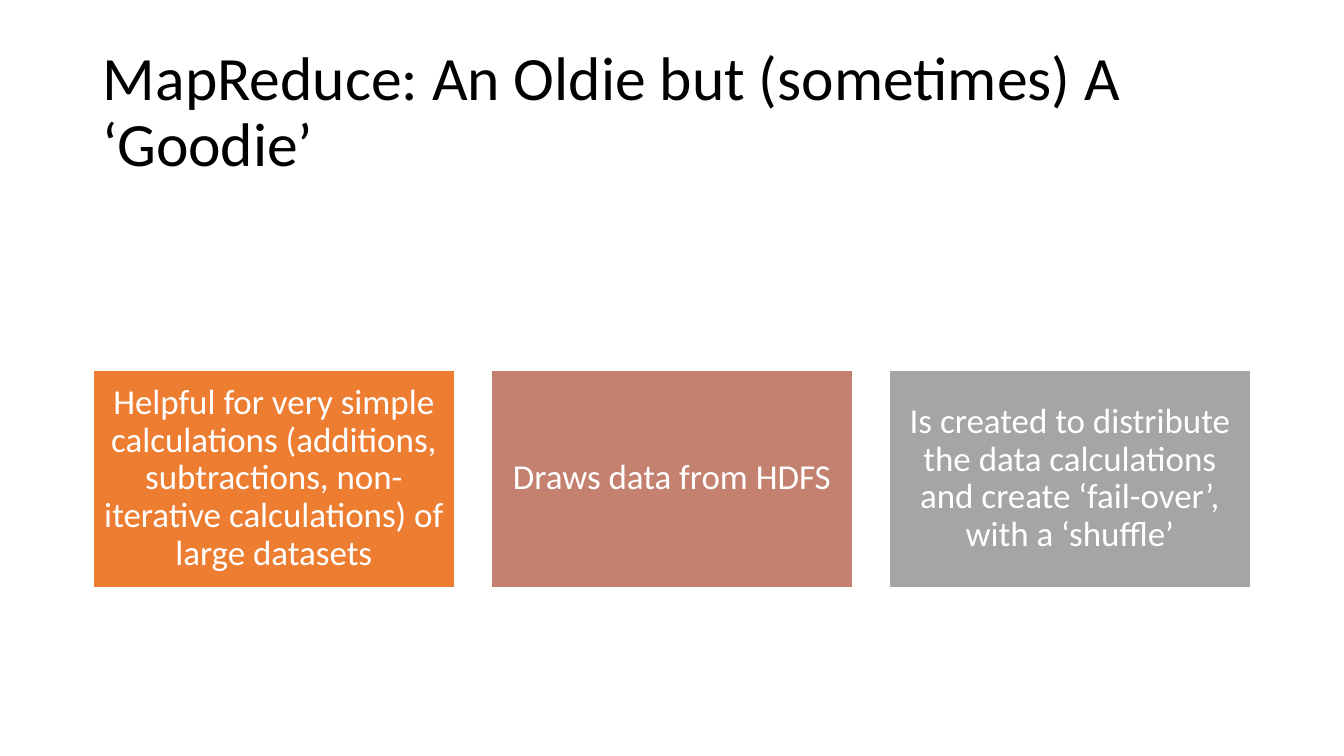
from pptx import Presentation
from pptx.dml.color import RGBColor
from pptx.enum.shapes import MSO_SHAPE
from pptx.enum.text import MSO_ANCHOR, MSO_AUTO_SIZE, PP_ALIGN
from pptx.util import Cm, Pt

RECTANGLE = MSO_SHAPE.RECTANGLE
MIDDLE = MSO_ANCHOR.MIDDLE
NO_AUTOFIT = MSO_AUTO_SIZE.NONE
LEFT, CENTER = PP_ALIGN.LEFT, PP_ALIGN.CENTER

COLORS = {
    "white": "FFFFFF",
    "black": "000000",
    "orange": "ED7D31",
    "clay": "C48170",
    "gray": "A5A5A5",
}
FONT = "Calibri"
MARGIN = 2.34
CARD_TOP, CARD_WIDTH, CARD_HEIGHT = 9.32, 9.12, 5.48
CARD_PITCH = 10.03
INSET = Cm(0.25)


def rgb(name):
    return RGBColor.from_string(COLORS[name])


def write_text(frame, text, size, color, align):
    frame.text = text
    frame.word_wrap = True
    frame.auto_size = NO_AUTOFIT
    frame.vertical_anchor = MIDDLE
    paragraph = frame.paragraphs[0]
    paragraph.alignment = align
    paragraph.line_spacing = 0.9
    font = paragraph.runs[0].font
    font.name = FONT
    font.size = Pt(size)
    font.color.rgb = rgb(color)


# Slide
deck = Presentation()
deck.slide_width, deck.slide_height = Cm(33.87), Cm(19.05)
slide = deck.slides.add_slide(deck.slide_layouts[5])
slide.background.fill.solid()
slide.background.fill.fore_color.rgb = rgb("white")

# Title
title = slide.shapes.title
title.left, title.top = Cm(MARGIN), Cm(1.02)
title.width, title.height = Cm(29.21), Cm(3.68)
write_text(title.text_frame, "MapReduce: An Oldie but (sometimes) A ‘Goodie’",
           44, "black", LEFT)

# Row of cards about MapReduce
traits = [
    ("Helpful for very simple calculations (additions, subtractions, "
     "non-iterative calculations) of large datasets", "orange"),
    ("Draws data from HDFS", "clay"),
    ("Is created to distribute the data calculations and create "
     "‘fail-over’, with a ‘shuffle’", "gray"),
]
for index, (trait, color) in enumerate(traits):
    card = slide.shapes.add_shape(
        RECTANGLE, Cm(MARGIN + index * CARD_PITCH), Cm(CARD_TOP),
        Cm(CARD_WIDTH), Cm(CARD_HEIGHT))
    card.shadow.inherit = False
    card.fill.solid()
    card.fill.fore_color.rgb = rgb(color)
    card.line.color.rgb = rgb("white")
    card.line.width = Pt(1)
    frame = card.text_frame
    frame.margin_left = frame.margin_right = INSET
    frame.margin_top = frame.margin_bottom = INSET
    write_text(frame, trait, 25, "white", CENTER)

deck.save("out.pptx")
